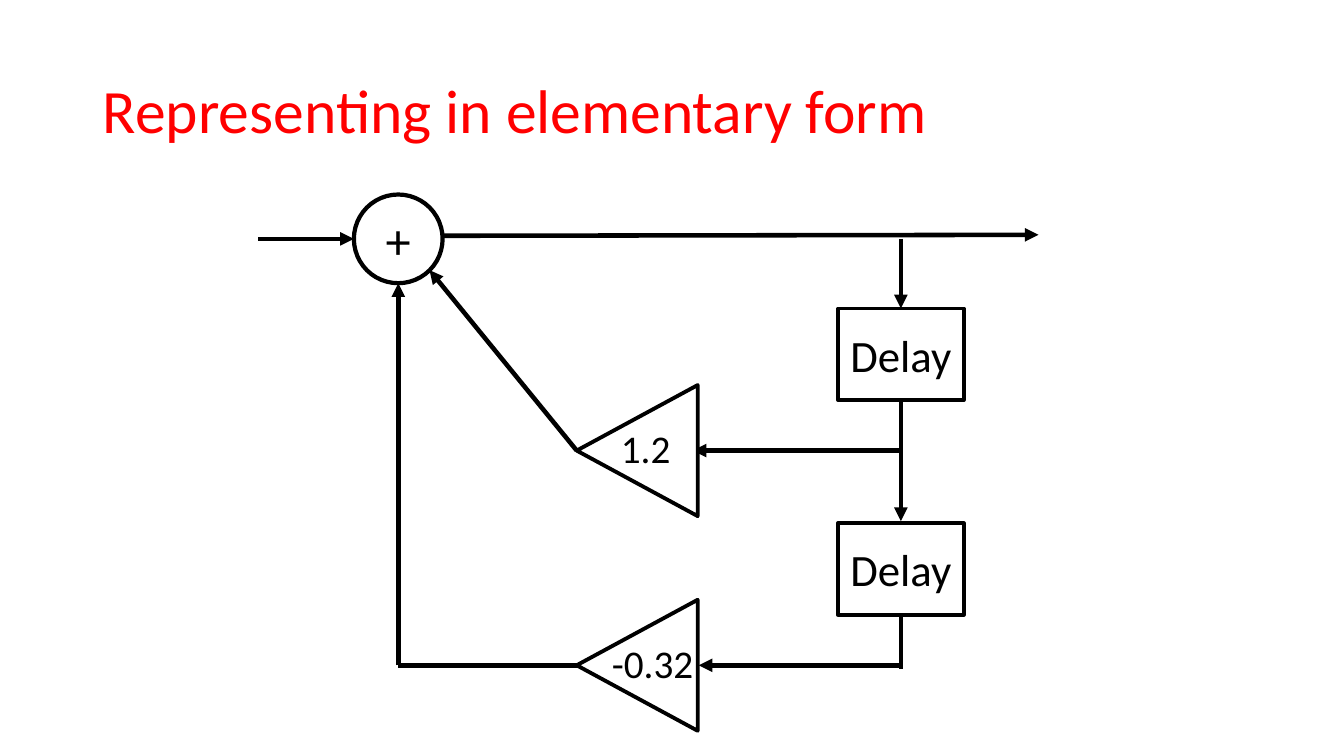
from dataclasses import dataclass

from lxml import etree
from pptx import Presentation
from pptx.dml.color import RGBColor
from pptx.enum.shapes import MSO_CONNECTOR, MSO_SHAPE
from pptx.enum.text import MSO_ANCHOR, MSO_AUTO_SIZE, PP_ALIGN
from pptx.oxml.ns import qn
from pptx.util import Inches, Pt

STRAIGHT = MSO_CONNECTOR.STRAIGHT
RECTANGLE, TRIANGLE, CIRCLE = MSO_SHAPE.RECTANGLE, MSO_SHAPE.ISOSCELES_TRIANGLE, MSO_SHAPE.OVAL
MIDDLE, LEFT, CENTER = MSO_ANCHOR.MIDDLE, PP_ALIGN.LEFT, PP_ALIGN.CENTER
NO_AUTOFIT = MSO_AUTO_SIZE.NONE


@dataclass(frozen=True)
class Theme:
    font: str = "Calibri"
    heading: RGBColor = RGBColor(0xFF, 0, 0)
    ink: RGBColor = RGBColor(0, 0, 0)
    paper: RGBColor = RGBColor(0xFF, 0xFF, 0xFF)
    title_size: int = 44
    sum_size: int = 36
    delay_size: int = 32
    gain_size: int = 28
    wire: float = 3.25


THEME = Theme()

# Grid in inches: columns of the diagram, and rows one stage apart
INPUT_X, SUM_X, GAIN_X, DELAY_X, OUTPUT_X = 2.56, 3.95, 6.32, 8.935, 10.3
SIGNAL_Y, DELAY_Y, TAP_Y, STAGE = 2.37, 3.515, 4.47, 2.13
SUM_SIZE, DELAY_W, DELAY_H = 0.88, 1.25, 0.91
GAIN_BASE, GAIN_DEPTH = 1.3, 1.2
GAIN_TIP, GAIN_BACK = GAIN_X - GAIN_DEPTH / 2, GAIN_X + GAIN_DEPTH / 2
LAST_Y = TAP_Y + STAGE

deck = Presentation()
deck.slide_width, deck.slide_height = Inches(13.33), Inches(7.5)
slide = deck.slides.add_slide(deck.slide_layouts[5])


def add_block(kind, x, y, width, height, border, label="", size=THEME.delay_size):
    """Add an outlined block centred on (x, y)."""
    block = slide.shapes.add_shape(kind, Inches(x - width / 2), Inches(y - height / 2),
                                   Inches(width), Inches(height))
    block.shadow.inherit = False
    block.fill.solid()
    block.fill.fore_color.rgb = THEME.paper
    block.line.color.rgb = THEME.ink
    block.line.width = Pt(border)
    if label:
        frame = block.text_frame
        frame.word_wrap = False
        frame.vertical_anchor = MIDDLE
        set_text(frame, label, size, THEME.ink, CENTER)
    return block


def set_text(frame, text, size, color, align=LEFT):
    frame.text = text
    line = frame.paragraphs[0]
    line.alignment = align
    line.font.name, line.font.size = THEME.font, Pt(size)
    line.font.color.rgb = color
    return line


# Title
title = slide.shapes.title
title.left, title.top, title.width, title.height = map(Inches, (0.92, 0.4, 11.5, 1.45))
title.text_frame.auto_size = NO_AUTOFIT
title.text_frame.vertical_anchor = MIDDLE
heading = set_text(title.text_frame, "Representing in elementary form",
                   THEME.title_size, THEME.heading)
heading.line_spacing = 0.9

# Delay chain
for stage in range(2):
    add_block(RECTANGLE, DELAY_X, DELAY_Y + stage * STAGE, DELAY_W, DELAY_H, 2.5, "Delay")

# Wires: start, end, whether the end has an arrowhead
delay_top, delay_bottom = DELAY_Y - DELAY_H / 2, DELAY_Y + DELAY_H / 2
wires = [
    ((INPUT_X, SIGNAL_Y), (SUM_X - SUM_SIZE / 2, SIGNAL_Y), True),
    ((SUM_X, SIGNAL_Y - 0.03), (OUTPUT_X, SIGNAL_Y - 0.04), True),
    ((DELAY_X, SIGNAL_Y), (DELAY_X, delay_top), True),
    ((DELAY_X, delay_bottom), (DELAY_X, delay_top + STAGE - 0.02), True),
    ((DELAY_X, delay_bottom + STAGE), (DELAY_X, LAST_Y + 0.04), False),
    ((DELAY_X, TAP_Y), (GAIN_BACK - 0.05, TAP_Y), True),
    ((DELAY_X, LAST_Y), (GAIN_BACK + 0.01, LAST_Y), True),
    ((GAIN_TIP, TAP_Y), (SUM_X + 0.31, SIGNAL_Y + 0.31), True),
    ((GAIN_TIP, LAST_Y), (SUM_X, LAST_Y), False),
    ((SUM_X, LAST_Y), (SUM_X, SIGNAL_Y + SUM_SIZE / 2), True),
]
for start, end, has_arrow in wires:
    wire = slide.shapes.add_connector(STRAIGHT, *map(Inches, (*start, *end)))
    wire.line.color.rgb = THEME.ink
    wire.line.width = Pt(THEME.wire)
    if has_arrow:
        etree.SubElement(wire.line._get_or_add_ln(), qn("a:tailEnd"), type="triangle")
    etree.SubElement(wire._element.spPr, qn("a:effectLst"))

# Gains pointing left, with their coefficients
for stage, (coefficient, label_x) in enumerate([("1.2", 6.06), ("-0.32", 5.97)]):
    gain_y = TAP_Y + stage * STAGE
    gain = add_block(TRIANGLE, GAIN_X, gain_y, GAIN_BASE, GAIN_DEPTH, 2.75)
    gain.rotation = 270
    label = slide.shapes.add_textbox(*map(Inches, (label_x, gain_y - 0.31, 1.2, 0.57)))
    label.text_frame.word_wrap = True
    set_text(label.text_frame, coefficient, THEME.gain_size, THEME.ink)

# Summing point
add_block(CIRCLE, SUM_X, SIGNAL_Y, SUM_SIZE, SUM_SIZE, 3, "+", THEME.sum_size)

deck.save("out.pptx")
